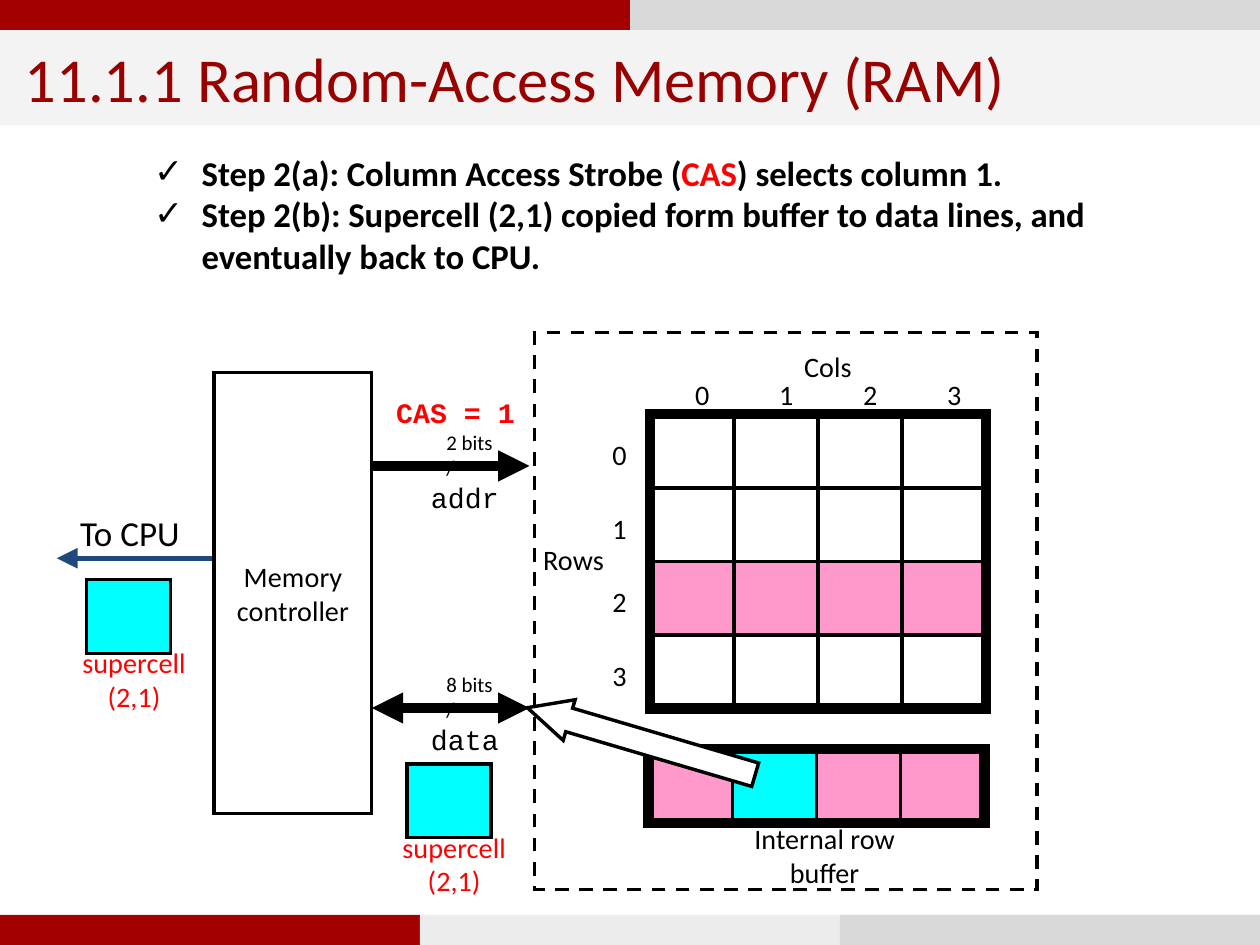
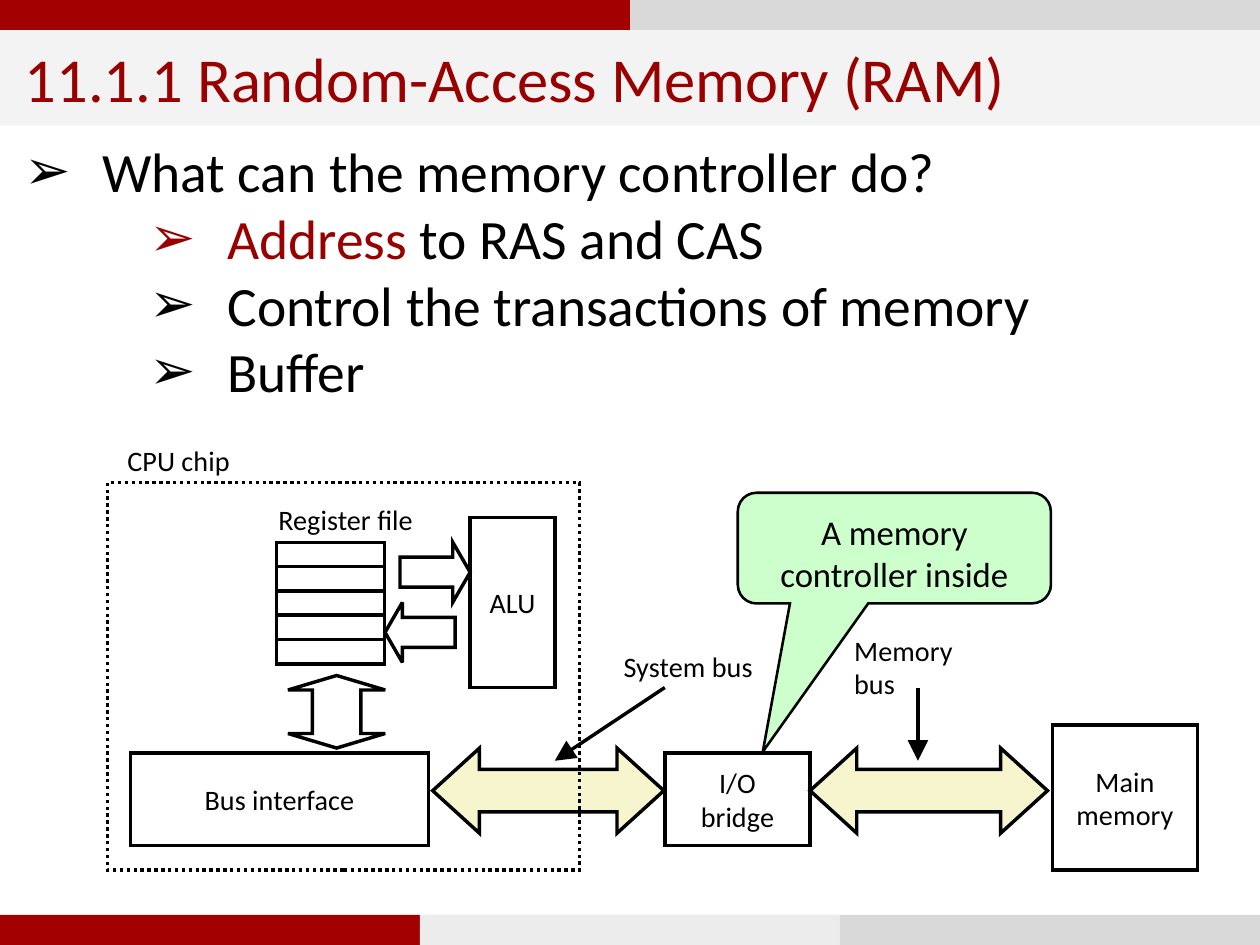
import dataclasses

import lxml.etree
import pptx
import pptx.dml.color
import pptx.enum.dml
import pptx.enum.shapes
import pptx.enum.text
import pptx.oxml.ns
import pptx.util

Pt = pptx.util.Pt
Kind = pptx.enum.shapes.MSO_SHAPE
Dash = pptx.enum.dml.MSO_LINE
Align = pptx.enum.text.PP_ALIGN
Anchor = pptx.enum.text.MSO_ANCHOR


@dataclasses.dataclass(frozen=True)
class Theme:
    width: float = 362.88
    height: float = 272.16
    band: float = 8.64
    red: str = "A30000"
    grey: str = "D9D9D9"
    pale: str = "ECECEC"
    strip: str = "F3F3F3"
    wine: str = "990000"
    alert: str = "FF0000"
    ink: str = "000000"
    white: str = "FFFFFF"
    pink: str = "FF99CC"
    cyan: str = "00FFFF"
    navy: str = "1F497D"
    cream: str = "F7F5CD"
    mint: str = "CCFFCC"
    font: str = "Calibri"
    code: str = "Courier New"
    title: float = 18
    body: float = 16
    step: float = 10
    label: float = 8.1
    tiny: float = 6
    cell: tuple = (24.2, 21.2)


T = Theme()


@dataclasses.dataclass(frozen=True)
class Box:
    x: float
    y: float
    w: float
    h: float

    def at(self, dx, dy, w, h):
        """Return a box offset from this one's top left corner."""
        return Box(self.x + dx, self.y + dy, w, h)

    def place(self):
        return [Pt(n) for n in (self.x, self.y, self.w, self.h)]


def tint(color):
    return pptx.dml.color.RGBColor.from_string(color)


def add(parent, tag, **attrs):
    return lxml.etree.SubElement(parent, pptx.oxml.ns.qn(tag), **attrs)


def style(run, size, color=T.ink, font=T.font, bold=False):
    run.font.size = Pt(size)
    run.font.name = font
    run.font.bold = bold
    run.font.color.rgb = tint(color)


def setup(frame, inset=(0, 0), anchor=Anchor.MIDDLE):
    frame.word_wrap = True
    frame.auto_size = pptx.enum.text.MSO_AUTO_SIZE.NONE
    frame.vertical_anchor = anchor
    frame.margin_left = frame.margin_right = Pt(inset[0])
    frame.margin_top = frame.margin_bottom = Pt(inset[1])


def write(frame, words, align=Align.CENTER, size=T.label, **look):
    frame.text = words
    for para in frame.paragraphs:
        para.alignment = align
        for run in para.runs:
            style(run, size, **look)


def label(slide, box, words, align=Align.LEFT, **look):
    frame = slide.shapes.add_textbox(*box.place()).text_frame
    setup(frame)
    write(frame, words, align, **look)


def shape(slide, box, kind=Kind.RECTANGLE, fill=None, line=1, dash=None,
          adjust=(), words=None):
    item = slide.shapes.add_shape(kind, *box.place())
    item.shadow.inherit = False
    if fill:
        item.fill.solid()
        item.fill.fore_color.rgb = tint(fill)
    else:
        item.fill.background()
    if line:
        item.line.color.rgb = tint(T.ink)
        item.line.width = Pt(line)
        if dash:
            item.line.dash_style = dash
        edge = item._element.spPr.find(pptx.oxml.ns.qn("a:ln"))
        add(edge, "a:miter", lim="800000")
    else:
        item.line.fill.background()
    for spot, value in enumerate(adjust):
        item.adjustments[spot] = value
    if words:
        setup(item.text_frame)
        write(item.text_frame, words)
    return item


def arrow(slide, start, end, width=1, color=T.ink, both=False):
    link = slide.shapes.add_connector(
        pptx.enum.shapes.MSO_CONNECTOR.STRAIGHT,
        *[Pt(n) for n in (*start, *end)])
    link.line.color.rgb = tint(color)
    link.line.width = Pt(width)
    edge = link._element.spPr.find(pptx.oxml.ns.qn("a:ln"))
    if both:
        add(edge, "a:headEnd", type="triangle")
    add(edge, "a:tailEnd", type="triangle")
    add(link._element.spPr, "a:effectLst")


def bullets(slide, box, mark, rows, size, bold=False):
    """Write rows of (left indent, hang, [(words, color), ...])."""
    frame = slide.shapes.add_textbox(*box.place()).text_frame
    setup(frame, (7.2, 3.6), Anchor.TOP)
    for num, (left, hang, parts) in enumerate(rows):
        para = frame.add_paragraph() if num else frame.paragraphs[0]
        props = para._p.get_or_add_pPr()
        props.set("marL", str(Pt(left)))
        props.set("indent", str(-Pt(hang)))
        add(props, "a:buFont", typeface=T.font)
        add(props, "a:buChar", char=mark)
        for words, color in parts:
            run = para.add_run()
            run.text = words
            style(run, size, color, bold=bold)


def bands(slide, y, colors):
    w = T.width / len(colors)
    for num, color in enumerate(colors):
        shape(slide, Box(num * w, y, w, T.band), fill=color, line=None)


def start(deck, title):
    """Add a slide with the shared bands and title strip."""
    slide = deck.slides.add_slide(deck.slide_layouts[5])
    bands(slide, 0, (T.red, T.grey))
    bands(slide, T.height - T.band, (T.red, T.pale, T.grey))
    head = slide.shapes.title
    head.left, head.top, head.width, head.height = Box(
        0, T.band, T.width, 27.5).place()
    head.fill.solid()
    head.fill.fore_color.rgb = tint(T.strip)
    setup(head.text_frame, (7.2, 3.6))
    write(head.text_frame, title, Align.LEFT, T.title, color=T.wine)
    return slide


def cells(slide, box, fills):
    """Draw rows of filled cells inside a thick frame."""
    w, h = box.w / len(fills[0]), box.h / len(fills)
    for row, colors in enumerate(fills):
        for col, color in enumerate(colors):
            shape(slide, box.at(col * w, row * h, w, h), fill=color)
    shape(slide, box, line=3)


def memory(slide, box):
    w, h = T.cell
    grid = box.at(33.2, 23.5, 4 * w, 4 * h)
    label(slide, box.at(77.6, 3.8, 24, 12), "Cols")
    label(slide, box.at(0.2, 59.3, 22, 12), "Rows", Align.CENTER)
    for num in range(4):
        label(slide, grid.at(num * w + 13, -11.7, 8, 12), str(num))
        label(slide, grid.at(-10.8, num * h + 5.5, 8, 12), str(num))
    cells(slide, grid, [[T.pink if row == 2 else T.white] * 4
                        for row in range(4)])
    cells(slide, box.at(32.8, 120, 4 * w, h),
          [[T.pink, T.cyan, T.pink, T.pink]])
    label(slide, box.at(54, 140.6, 59, 20), "Internal row buffer",
          Align.CENTER)
    shape(slide, box, dash=Dash.DASH)


def wire(slide, box, bits, name, both=False):
    arrow(slide, (box.x, box.y), (box.x + box.w, box.y), 3, both=both)
    label(slide, box.at(21.5, -12.3, 22, 18), bits + "\n/", size=T.tiny)
    label(slide, box.at(17, 3, 26, 12), name, font=T.code)


def cell(slide, box):
    label(slide, box.at(-6.4, 18.7, 40, 20), "supercell\n(2,1)",
          Align.CENTER, color=T.alert)
    shape(slide, box, fill=T.cyan)


def control(slide, box):
    """Draw the controller with its links to the CPU and the memory."""
    top = box.at(box.w, 26.9, box.w, 0)
    wire(slide, top, "2 bits", "addr")
    label(slide, top.at(7, -21.6, 40, 12), "CAS = 1",
          font=T.code, color=T.alert, bold=True)
    wire(slide, box.at(box.w, 96.6, box.w, 0), "8 bits", "data", True)
    shape(slide, box, fill=T.white, words="Memory\ncontroller")
    y = box.y + 53.5
    arrow(slide, (box.x - 0.7, y), (box.x - 45.3, y), 1.5, T.navy)
    label(slide, box.at(-38.6, 39.2, 36, 14), "To CPU", size=10.1)
    cell(slide, box.at(-36.7, 59.7, *T.cell))
    cell(slide, box.at(55.5, 112.8, *T.cell))


def chip(slide, box):
    label(slide, box.at(5.7, -12.5, 50, 12), "CPU chip")
    label(slide, box.at(49.2, 4.5, 50, 12), "Register file")
    for num in range(5):
        shape(slide, box.at(48.7, 17.2 + 7 * num, 31, 7))
    for kind, dx, dy in ((Kind.RIGHT_ARROW, 84.2, 17.2),
                         (Kind.LEFT_ARROW, 79.9, 34.5)):
        shape(slide, box.at(dx, dy, 20.2, 17.3), kind, adjust=(0.5, 0.29))
    shape(slide, box.at(104.4, 10, 24.5, 49), words="ALU")
    link = shape(slide, box.at(55.5, 52, 20.9, 28), Kind.LEFT_RIGHT_ARROW,
                 adjust=(0.5, 0.2))
    link.rotation = 90
    shape(slide, box.at(6.6, 77.9, 85.9, 26.6), words="Bus interface")
    shape(slide, box, dash=Dash.ROUND_DOT)


def buses(slide, box):
    for dx, w in ((0, 66.6), (108.7, 68.4)):
        shape(slide, box.at(dx, 6.7, w, 24.5), Kind.LEFT_RIGHT_ARROW,
              T.cream, adjust=(0.5, 0.55))
    shape(slide, box.at(66.9, 8.1, 41.8, 26.6), words="I/O\nbridge")
    shape(slide, box.at(178.5, 0, 41.8, 41.8), words="Main\nmemory")


def notes(slide, box):
    """Name the two buses and point out the controller."""
    for words, dx, w, tail, tip in (("System bus", 55, 46, 66.9, 35.2),
                                    ("Memory bus", 121.4, 39.6, 139.8, 139.8)):
        label(slide, box.at(dx, -26.8, w, 20), words)
        arrow(slide, (box.x + tail, box.y - 10.8), (box.x + tip, box.y + 10.3))
    bubble = shape(slide, box.at(87.9, -66.9, 90.2, 31.9),
                   Kind.ROUNDED_RECTANGULAR_CALLOUT, T.mint, 0.75,
                   adjust=(-0.42, 1.84, 0.17))
    setup(bubble.text_frame, (7.2, 3.6), Anchor.TOP)
    write(bubble.text_frame, "A memory controller inside", size=T.step)


def strobe(deck, title):
    slide = start(deck, title)
    bullets(slide, Box(37.3, 40.1, 293.8, 44), "✓", [
        (13.7, 13.7, [("Step 2(a): Column Access Strobe (", T.ink),
                      ("CAS", T.alert), (") selects column 1.", T.ink)]),
        (13.7, 13.7, [("Step 2(b): Supercell (2,1) copied form buffer to "
                       "data lines, and eventually back to CPU.", T.ink)]),
    ], T.step, True)
    memory(slide, Box(154, 95.8, 144.7, 160.4))
    control(slide, Box(61.7, 107.3, 45.4, 127))
    beam = shape(slide, Box(178.6, 179.3, 12.2, 68.4), Kind.DOWN_ARROW,
                 T.white, adjust=(0.58, 1.03))
    beam.rotation = 106.4


def duties(deck, title):
    slide = start(deck, title)
    bullets(slide, Box(0, 36, T.width, 84), "➢", [
        (22.5, 22.5, [("What can the memory controller do?", T.ink)]),
        (58.5, 22.5, [("Address", T.wine), (" to RAS and CAS", T.ink)]),
        (58.5, 22.5, [("Control the transactions of memory", T.ink)]),
        (58.5, 22.5, [("Buffer", T.ink)]),
    ], T.body)
    area = Box(124.6, 208.8, 220.3, 41.8)
    buses(slide, area)
    chip(slide, Box(31, 139, 136, 111.6))
    notes(slide, area)


def main():
    deck = pptx.Presentation()
    deck.slide_width, deck.slide_height = Pt(T.width), Pt(T.height)
    title = "11.1.1 Random-Access Memory (RAM)"
    strobe(deck, title)
    duties(deck, title)
    deck.save("out.pptx")


if __name__ == "__main__":
    main()
